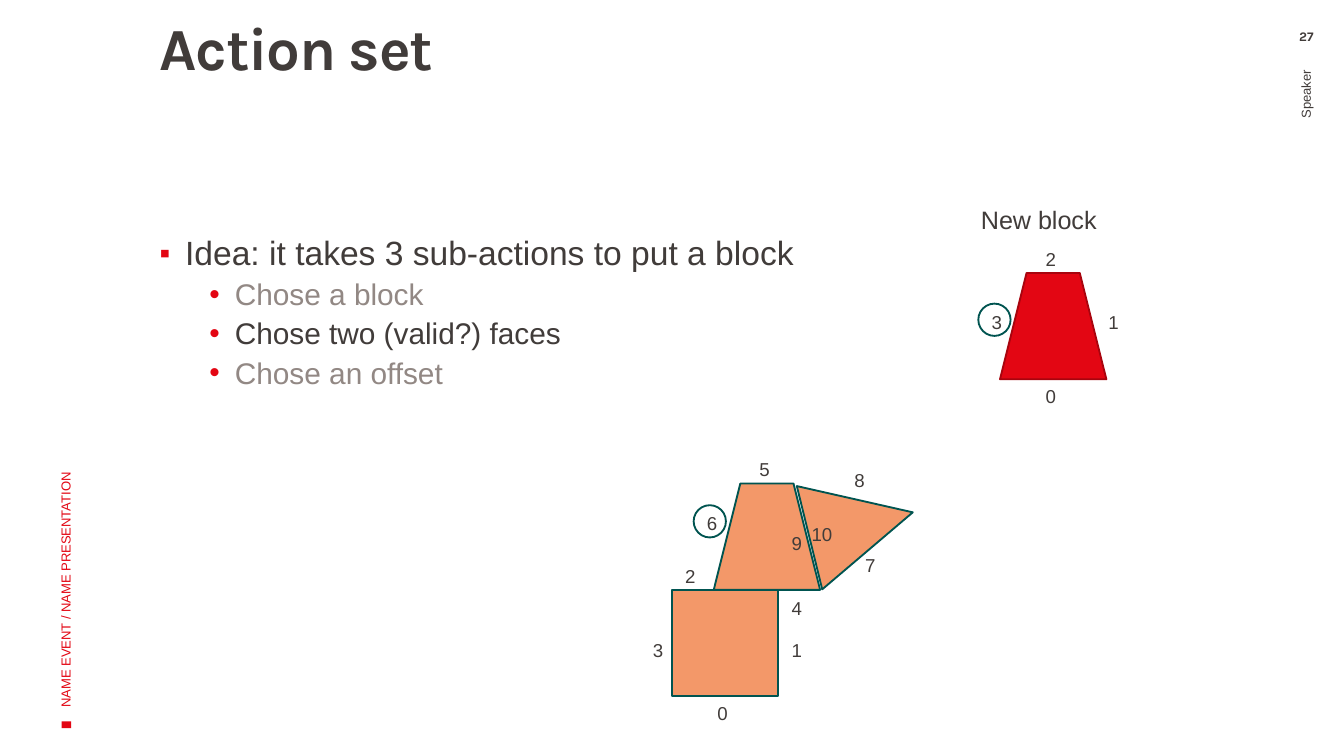
from lxml import etree
from pptx import Presentation
from pptx.dml.color import RGBColor
from pptx.enum.shapes import MSO_SHAPE as Shape
from pptx.enum.text import MSO_ANCHOR as Anchor, MSO_AUTO_SIZE as AutoSize, PP_ALIGN as Align
from pptx.oxml.ns import qn
from pptx.util import Cm, Pt

RED, DARK_RED, ORANGE, TEAL = "E30613", "A8040E", "F39869", "005450"
DARK, GREY = "413C3A", "928884"
BLOCK, CIRCLE = 2.01, 0.61

ACTIONS = [
    # text, level, colour
    ("Idea: it takes 3 sub-actions to put a block", 0, DARK),
    ("Chose a block", 1, GREY),
    ("Chose two (valid?) faces", 1, DARK),
    ("Chose an offset", 1, GREY),
]
LEVELS = [
    # bullet, bullet size, margin, size, space before
    ("▪", 90, 0.48, 18, 7.5),
    ("•", 100, 1.42, 16, 3.8),
]
PLACED_FACES = [
    ("0", 13.31, 13.13), ("1", 14.71, 11.94), ("2", 12.7, 10.54), ("3", 12.09, 11.94),
    ("4", 14.71, 11.15), ("5", 14.1, 8.53), ("6", 13.11, 9.55), ("7", 16.1, 10.34),
    ("8", 15.9, 8.74), ("9", 14.71, 9.93), ("10", 15.09, 9.75),
]
NEW_FACES = [("0", 19.51, 7.14), ("1", 20.7, 5.74), ("2", 19.51, 4.55), ("3", 18.49, 5.74)]
CHOSEN_FACES = [NEW_FACES[3], PLACED_FACES[6]]


def rgb(colour):
    return RGBColor.from_string(colour)


def style_text(paragraph, size, colour, font="Arial", bold=False):
    for run in paragraph.runs:
        run.font.name = font
        run.font.size = Pt(size)
        run.font.bold = bold
        run.font.color.rgb = rgb(colour)


def add_frame(slide, left, top, width, height, insets=(0.25, 0.13, 0.25, 0.13), rotation=0):
    """Add a wrapping text box; insets run left, top, right, bottom."""
    box = slide.shapes.add_textbox(Cm(left), Cm(top), Cm(width), Cm(height))
    box.rotation = rotation
    frame = box.text_frame
    frame.word_wrap = True
    frame.margin_left, frame.margin_top, frame.margin_right, frame.margin_bottom = map(Cm, insets)
    return frame


def add_title(slide, text):
    frame = add_frame(slide, 2.51, 0.36, 10.19, 2.97, (0.51, 0, 0.2, 0.13))
    frame.text = text
    title = frame.paragraphs[0]
    title.line_spacing = 0.9
    style_text(title, 32, DARK, "Karla", True)
    title.runs[0].font._element.set("spc", "-70")


def add_bullet(paragraph, symbol, percent, margin):
    props = paragraph._p.get_or_add_pPr()
    props.set("marL", str(Cm(margin)))
    props.set("indent", str(-Cm(0.48)))
    colour = etree.SubElement(props, qn("a:buClr"))
    etree.SubElement(colour, qn("a:srgbClr"), val=RED)
    etree.SubElement(props, qn("a:buSzPct"), val=str(percent * 1000))
    etree.SubElement(props, qn("a:buFont"), typeface="Arial")
    etree.SubElement(props, qn("a:buChar"), char=symbol)


def add_action_list(slide):
    frame = add_frame(slide, 2.51, 4.34, 21.46, 9.4, (0.51, 0.13, 0.25, 0.13))
    frame.text = "\n".join(text for text, _, _ in ACTIONS)
    for paragraph, (_, level, colour) in zip(frame.paragraphs, ACTIONS):
        symbol, percent, margin, size, space = LEVELS[level]
        paragraph.level = level
        paragraph.line_spacing = 0.9
        paragraph.space_before = Pt(space)
        add_bullet(paragraph, symbol, percent, margin)
        style_text(paragraph, size, colour)


def add_side_text(slide, text, left, top, width, height, colour, align):
    """Add a line that reads upwards along the slide edge."""
    frame = add_frame(slide, left, top, width, height, rotation=270)
    frame.vertical_anchor = Anchor.MIDDLE
    frame.text = text
    frame.paragraphs[0].alignment = align
    style_text(frame.paragraphs[0], 7, colour)


def add_page_number(slide, text):
    frame = add_frame(slide, 23.98, 0.53, 1.42, 0.46, (0.25, 0, 0.25, 0))
    frame.text = text
    frame.paragraphs[0].alignment = Align.CENTER
    style_text(frame.paragraphs[0], 7, DARK, "Karla", True)


def add_label(slide, text, left, top, width, height, size):
    frame = add_frame(slide, left, top, width, height)
    frame.word_wrap = False
    frame.auto_size = AutoSize.SHAPE_TO_FIT_TEXT
    frame.text = text
    style_text(frame.paragraphs[0], size, DARK)


def add_figure(slide, kind, left, top, width, height, fill=None, line=None, rotation=0):
    figure = slide.shapes.add_shape(kind, Cm(left), Cm(top), Cm(width), Cm(height))
    figure.shadow.inherit = False
    figure.rotation = rotation
    if fill:
        figure.fill.solid()
        figure.fill.fore_color.rgb = rgb(fill)
    else:
        figure.fill.background()
    if line:
        figure.line.color.rgb = rgb(line)
        figure.line.width = Pt(1)
    else:
        figure.line.fill.background()


def add_block(slide, kind, left, top, fill=ORANGE, line=TEAL, rotation=0):
    add_figure(slide, kind, left, top, BLOCK, BLOCK, fill, line, rotation)


def main():
    deck = Presentation()
    deck.slide_width, deck.slide_height = Cm(25.4), Cm(14.29)
    slide = deck.slides.add_slide(deck.slide_layouts[6])

    add_figure(slide, Shape.RECTANGLE, 1.19, 13.61, 0.13, 0.18, RED, rotation=270)
    add_action_list(slide)
    add_title(slide, "Action set")
    add_side_text(slide, "NAME EVENT / NAME PRESENTATION", -3.4, 7.72, 9.27, 2.54, RED, Align.LEFT)
    add_side_text(slide, "Speaker ", 19.76, 5.21, 9.83, 1.42, DARK, Align.RIGHT)
    add_page_number(slide, "27")

    add_block(slide, Shape.TRAPEZOID, 18.9, 5.16, RED, DARK_RED)
    add_label(slide, "New block", 18.29, 3.73, 2.72, 0.84, 13.5)
    add_block(slide, Shape.ISOSCELES_TRIANGLE, 15.27, 8.92, rotation=76.2)
    add_block(slide, Shape.TRAPEZOID, 13.49, 9.14)
    add_block(slide, Shape.RECTANGLE, 12.7, 11.15)

    for face, left, top in PLACED_FACES + NEW_FACES:
        add_label(slide, face, left, top, 0.51 + 0.2 * len(face), 0.69, 10)
    for _, left, top in CHOSEN_FACES:
        add_figure(slide, Shape.OVAL, left, top, CIRCLE, CIRCLE, line=TEAL)

    deck.save("out.pptx")


if __name__ == "__main__":
    main()
